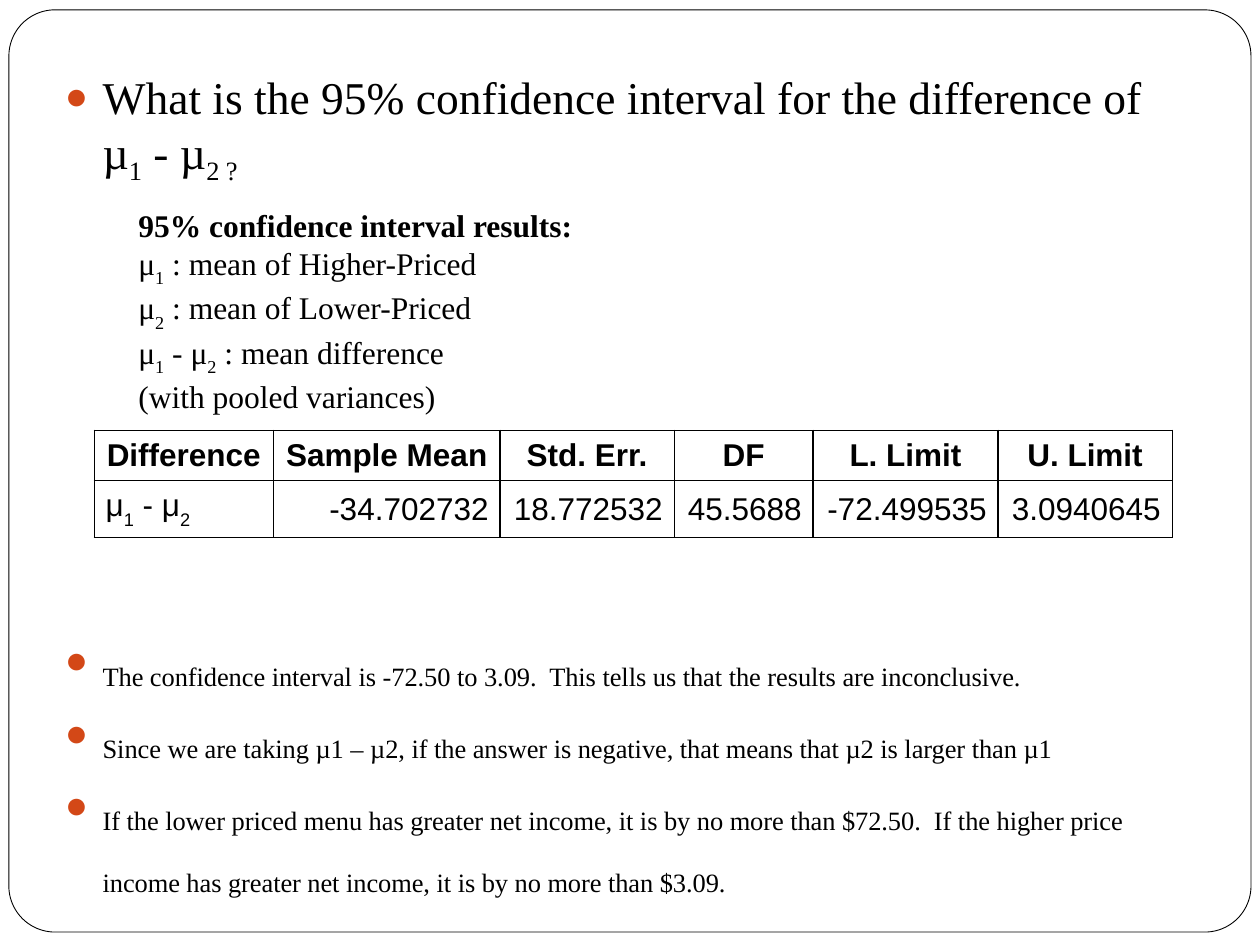
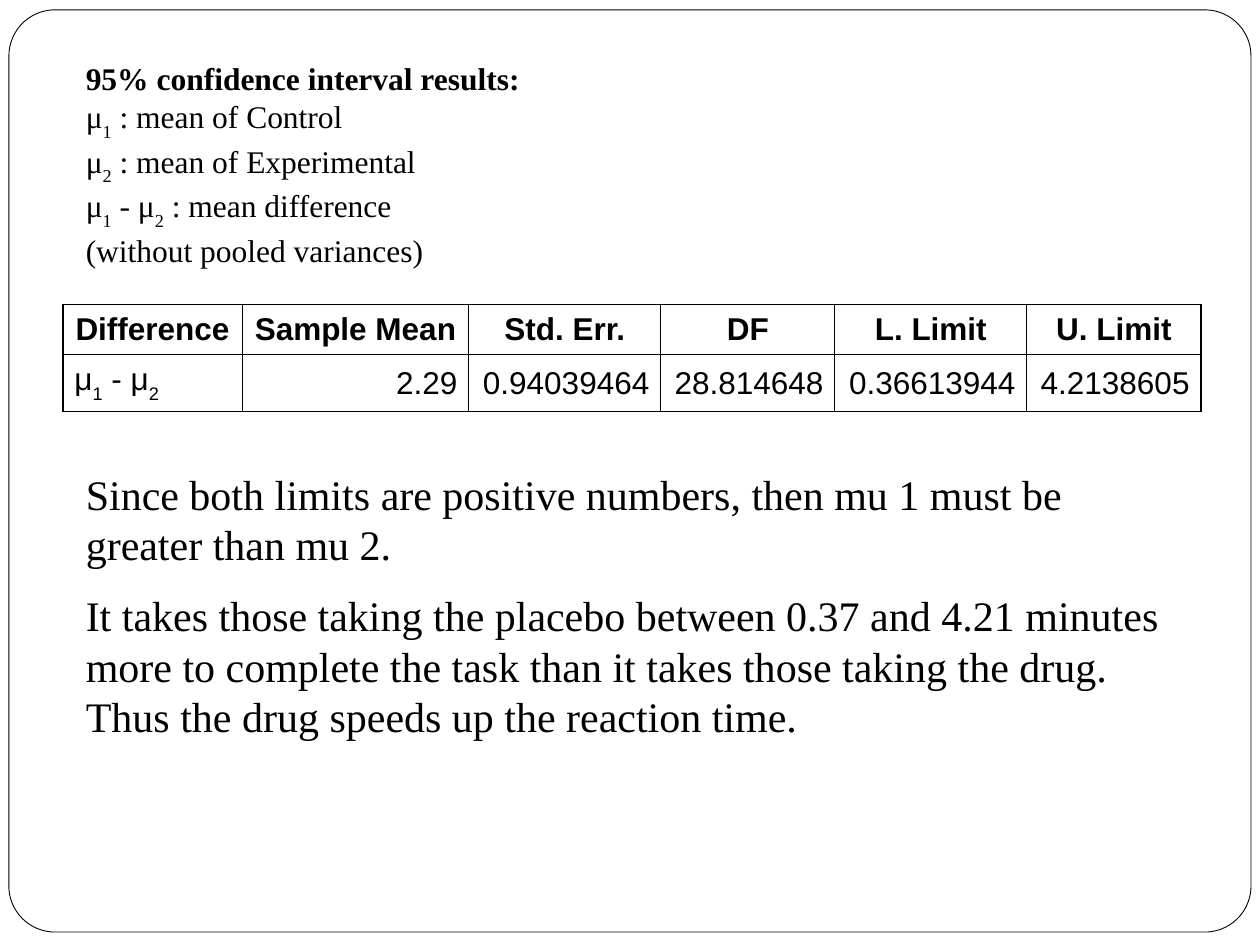
from collections import namedtuple

from lxml.etree import SubElement
from pptx import Presentation
from pptx.dml.color import RGBColor
from pptx.enum.shapes import MSO_SHAPE as Preset
from pptx.enum.text import MSO_ANCHOR as Anchor, PP_ALIGN as Align
from pptx.oxml import parse_xml
from pptx.oxml.ns import nsdecls, qn
from pptx.util import Cm, Pt

Box = namedtuple("Box", "left top width height")

BLACK = "000000"
WHITE = "FFFFFF"
BULLET_RED = "D34817"
SERIF = "Times New Roman"
SANS = "Arial"
FRAME = Box(0.18, 0.2, 25.04, 18.59)
ROW_HEIGHT = 1.02
CELL_MARGIN = 0.23
HEADERS = ["Difference", "Sample Mean", "Std. Err.", "DF", "L. Limit", "U. Limit"]
DIFFERENCE = "μ|1| - μ|2|"
QUESTION = "What is the 95% confidence interval for the difference of µ|1| - µ|2 ?|"
CONCLUSIONS = [
    "The confidence interval is -72.50 to 3.09.  This tells us that the results "
    "are inconclusive.",
    "Since we are taking µ1 – µ2, if the answer is negative, that means that µ2 "
    "is larger than µ1",
    "If the lower priced menu has greater net income, it is by no more than $72.50.  "
    "If the higher price income has greater net income, it is by no more than $3.09.",
]
EXPLANATIONS = [
    "Since both limits are positive numbers, then mu 1 must be greater than mu 2.",
    "It takes those taking the placebo between 0.37 and 4.21 minutes more to complete "
    "the task than it takes those taking the drug.  Thus the drug speeds up the "
    "reaction time.",
]


def color(hex_string):
    """Turn a hex string into a colour."""
    return RGBColor.from_string(hex_string)


def lengths(box):
    """Give the four sides of a box as lengths."""
    return [Cm(value) for value in box]


def write(paragraph, text, size, font=SERIF, bold=False, drop=-30):
    """Write text whose parts between bars are subscripts."""
    for index, part in enumerate(text.split("|")):
        if not part:
            continue
        run = paragraph.add_run()
        run.text = part
        run.font.size = Pt(size)
        run.font.name = font
        run.font.bold = bold
        run.font.color.rgb = color(BLACK)
        if index % 2:
            run.font._element.set("baseline", str(drop * 1000))


def add_text(slide, box):
    """Add a wrapping text box and return its frame."""
    text_frame = slide.shapes.add_textbox(*lengths(box)).text_frame
    text_frame.word_wrap = True
    return text_frame


def add_paragraphs(text_frame, count):
    """Return the given number of paragraphs of an empty text frame."""
    added = [text_frame.add_paragraph() for _ in range(count - 1)]
    return [text_frame.paragraphs[0], *added]


def add_bullet(paragraph):
    """Give a paragraph a hanging round bullet."""
    properties = paragraph._p.get_or_add_pPr()
    indent = Cm(0.76)
    properties.set("marL", str(indent))
    properties.set("indent", str(-indent))
    bullet_color = SubElement(properties, qn("a:buClr"))
    SubElement(bullet_color, qn("a:srgbClr"), val=BULLET_RED)
    SubElement(properties, qn("a:buSzPct"), val="85000")
    SubElement(properties, qn("a:buFont"), typeface=SANS)
    SubElement(properties, qn("a:buChar"), char="●")


def add_frame(slide):
    """Draw the rounded border shared by the slides."""
    shape = slide.shapes.add_shape(Preset.ROUNDED_RECTANGLE, *lengths(FRAME))
    shape.adjustments[0] = 0.05
    shape.shadow.inherit = False
    shape.fill.solid()
    shape.fill.fore_color.rgb = color(WHITE)
    shape.line.color.rgb = color(BLACK)
    shape.line.width = Pt(0.5)


def add_bullets(slide, box):
    """Add the question, and its conclusions below the room for the results."""
    texts = [QUESTION] + [f"|{text}|" for text in CONCLUSIONS]
    gaps = [5.8, 253.5, 5.8, 5.8]
    paragraphs = add_paragraphs(add_text(slide, box), len(texts))
    for paragraph, text, gap in zip(paragraphs, texts, gaps):
        paragraph.space_before = Pt(gap)
        add_bullet(paragraph)
        write(paragraph, text, 26, drop=-25)


def add_results(slide, box, first_group, second_group, variances):
    """Add the heading and the legend of the interval results."""
    lines = [
        "95% confidence interval results:",
        f"μ|1| : mean of {first_group}",
        f"μ|2| : mean of {second_group}",
        f"{DIFFERENCE} : mean difference",
        f"({variances} pooled variances)",
    ]
    text_frame = add_text(slide, box)
    text_frame.margin_top = 0
    for index, paragraph in enumerate(add_paragraphs(text_frame, len(lines))):
        write(paragraph, lines[index], 18, bold=index == 0)


def add_borders(cell):
    """Draw a thin black line on each side of a cell."""
    properties = cell._tc.get_or_add_tcPr()
    for index, side in enumerate(["lnL", "lnR", "lnT", "lnB"]):
        border = parse_xml(
            f'<a:{side} {nsdecls("a")} w="{Pt(0.75)}"><a:solidFill>'
            f'<a:srgbClr val="{BLACK}"/></a:solidFill></a:{side}>'
        )
        properties.insert(index, border)


def add_interval_table(slide, left, top, widths, values):
    """Add the table of the interval estimate."""
    rows = [HEADERS, [DIFFERENCE, *values]]
    box = Box(left, top, sum(widths), ROW_HEIGHT * len(rows))
    table = slide.shapes.add_table(len(rows), len(widths), *lengths(box)).table
    for column, width in zip(table.columns, widths):
        column.width = Cm(width)
    for row_index, row in enumerate(rows):
        for column_index, text in enumerate(row):
            cell = table.cell(row_index, column_index)
            cell.vertical_anchor = Anchor.MIDDLE
            cell.margin_left = cell.margin_right = Cm(CELL_MARGIN)
            cell.fill.solid()
            cell.fill.fore_color.rgb = color(WHITE)
            add_borders(cell)
            paragraph = cell.text_frame.paragraphs[0]
            if row_index == 0:
                paragraph.alignment = Align.CENTER
            else:
                paragraph.alignment = Align.RIGHT if column_index else Align.LEFT
            write(paragraph, text, 18, SANS, bold=row_index == 0)


def add_explanation(slide, box):
    """Add the plain reading of the interval."""
    paragraphs = add_paragraphs(add_text(slide, box), len(EXPLANATIONS))
    for paragraph, text in zip(paragraphs, EXPLANATIONS):
        write(paragraph, text, 24)
    paragraphs[1].space_before = Pt(12)


def add_slide(presentation):
    """Add a blank slide with the shared frame."""
    slide = presentation.slides.add_slide(presentation.slide_layouts[6])
    add_frame(slide)
    return slide


def build_menu_slide(presentation):
    """Build the slide on the menu prices."""
    slide = add_slide(presentation)
    add_bullets(slide, Box(1.06, 1.27, 22.86, 16.71))
    add_results(slide, Box(2.54, 4.15, 10.39, 4.83),
                "Higher-Priced", "Lower-Priced", "with")
    add_interval_table(slide, 1.9, 8.67, [3.61, 4.57, 3.51, 2.8, 3.73, 3.51],
                       ["-34.702732", "18.772532", "45.5688", "-72.499535", "3.0940645"])


def build_drug_slide(presentation):
    """Build the slide on the drug trial."""
    slide = add_slide(presentation)
    add_results(slide, Box(1.48, 1.2, 10.39, 4.83),
                "Control", "Experimental", "without")
    add_interval_table(slide, 1.27, 6.13, [3.61, 4.57, 3.87, 3.51, 3.87, 3.51],
                       ["2.29", "0.94039464", "28.814648", "0.36613944", "4.2138605"])
    add_explanation(slide, Box(1.48, 9.31, 22.66, 6.86))


def main():
    """Build and save the presentation."""
    presentation = Presentation()
    presentation.slide_width = Cm(25.4)
    presentation.slide_height = Cm(19.05)
    build_menu_slide(presentation)
    build_drug_slide(presentation)
    presentation.save("out.pptx")


if __name__ == "__main__":
    main()
